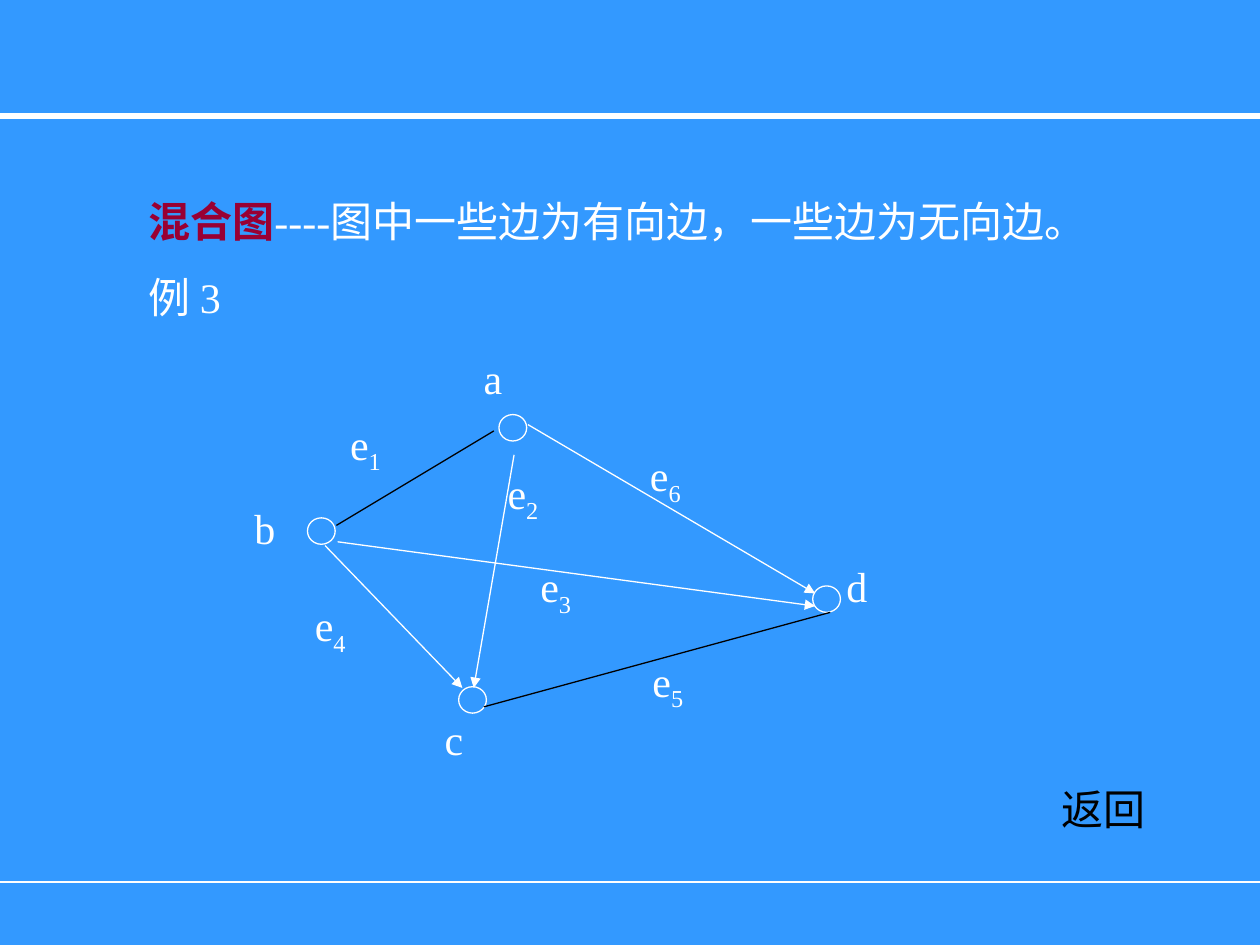
from lxml.etree import SubElement
from pptx import Presentation
from pptx.dml.color import RGBColor
from pptx.enum.shapes import MSO_CONNECTOR, MSO_SHAPE
from pptx.enum.text import MSO_AUTO_SIZE
from pptx.oxml.ns import qn
from pptx.util import Inches, Pt

BLUE = RGBColor(0x33, 0x99, 0xFF)
WHITE = RGBColor(0xFF, 0xFF, 0xFF)
BLACK = RGBColor(0x00, 0x00, 0x00)
CRIMSON = RGBColor(0x99, 0x00, 0x33)

COLUMNS, ROWS = 100, 75
CELL = Inches(10) // COLUMNS
FONT = "Times New Roman"

NODES = [
    ("a", (39.6, 32.9), (37.4, 27.5)),
    ("b", (24.4, 41.1), (19.2, 39.4)),
    ("c", (36.4, 54.5), (34.3, 56.1)),
    ("d", (64.5, 46.5), (66.2, 44)),
]
EDGES = [
    ("1", (26.7, 41.7), (39.2, 34.2), (26.8, 32.7), False),
    ("2", (40.8, 36.1), (37.6, 54.6), (39.3, 36.6), True),
    ("3", (26.8, 43), (64.7, 48.1), (41.9, 44), True),
    ("4", (25.8, 43.3), (36.7, 54.6), (24, 47.1), True),
    ("5", (38.4, 56.1), (65.9, 48.6), (50.8, 51.5), False),
    ("6", (41.9, 33.7), (64.7, 47.1), (50.6, 35.2), True),
]


def cells(*lengths):
    return [round(length * CELL) for length in lengths]


def add_run(paragraph, text, color=WHITE, bold=False, subscript=False):
    run = paragraph.add_run()
    run.text = text
    run.font.name = FONT
    run.font.size = Pt(24)
    run.font.bold = bold
    run.font.color.rgb = color
    if subscript:
        run.font._element.set("baseline", "-25000")


def add_text(shapes, text, position, size, subscript="", lead="", color=WHITE):
    frame = shapes.add_textbox(*cells(*position, *size)).text_frame
    frame.word_wrap = True
    frame.auto_size = MSO_AUTO_SIZE.SHAPE_TO_FIT_TEXT
    for index, line in enumerate(text.split("\n")):
        paragraph = frame.add_paragraph() if index else frame.paragraphs[0]
        if index:
            paragraph.space_before = Pt(15)
        elif lead:
            add_run(paragraph, lead, color=CRIMSON, bold=True)
        add_run(paragraph, line, color=color)
    if subscript:
        add_run(paragraph, subscript, color=color, subscript=True)


def add_line(shapes, start, end, color=WHITE, width=0.75, arrow=False):
    connector = shapes.add_connector(MSO_CONNECTOR.STRAIGHT, *cells(*start, *end))
    connector.line.color.rgb = color
    connector.line.width = Pt(width)
    if arrow:
        SubElement(connector.line._get_or_add_ln(), qn("a:tailEnd"), type="triangle")
    SubElement(connector._element.spPr, qn("a:effectLst"))


def add_node(shapes, name, position, label_position):
    circle = shapes.add_shape(MSO_SHAPE.OVAL, *cells(*position, 2.2, 2.1))
    circle.shadow.inherit = False
    circle.fill.background()
    circle.line.color.rgb = WHITE
    circle.line.width = Pt(0.75)
    add_text(shapes, name, label_position, (5.4, 5))


def add_edge(shapes, number, start, end, label_position, directed):
    color = WHITE if directed else BLACK
    add_line(shapes, start, end, color=color, arrow=directed)
    add_text(shapes, "e", label_position, (7.6, 5.6), subscript=number)


def add_graph(slide):
    shapes = slide.shapes.add_group_shape().shapes
    for node in NODES:
        add_node(shapes, *node)
    for edge in EDGES:
        add_edge(shapes, *edge)


def main():
    presentation = Presentation()
    presentation.slide_width = COLUMNS * CELL
    presentation.slide_height = ROWS * CELL
    slide = presentation.slides.add_slide(presentation.slide_layouts[6])
    slide.background.fill.solid()
    slide.background.fill.fore_color.rgb = BLUE

    add_line(slide.shapes, (0, 9.2), (COLUMNS, 9.2), width=3)
    add_line(slide.shapes, (0, 70), (COLUMNS, 70))
    add_text(slide.shapes, "返回", (83.3, 61.7), (10.8, 5), color=BLACK)
    add_graph(slide)
    add_text(
        slide.shapes,
        "----图中一些边为有向边，一些边为无向边。\n例 3",
        (10.8, 15),
        (81.7, 11.1),
        lead="混合图",
    )
    presentation.save("out.pptx")


if __name__ == "__main__":
    main()
